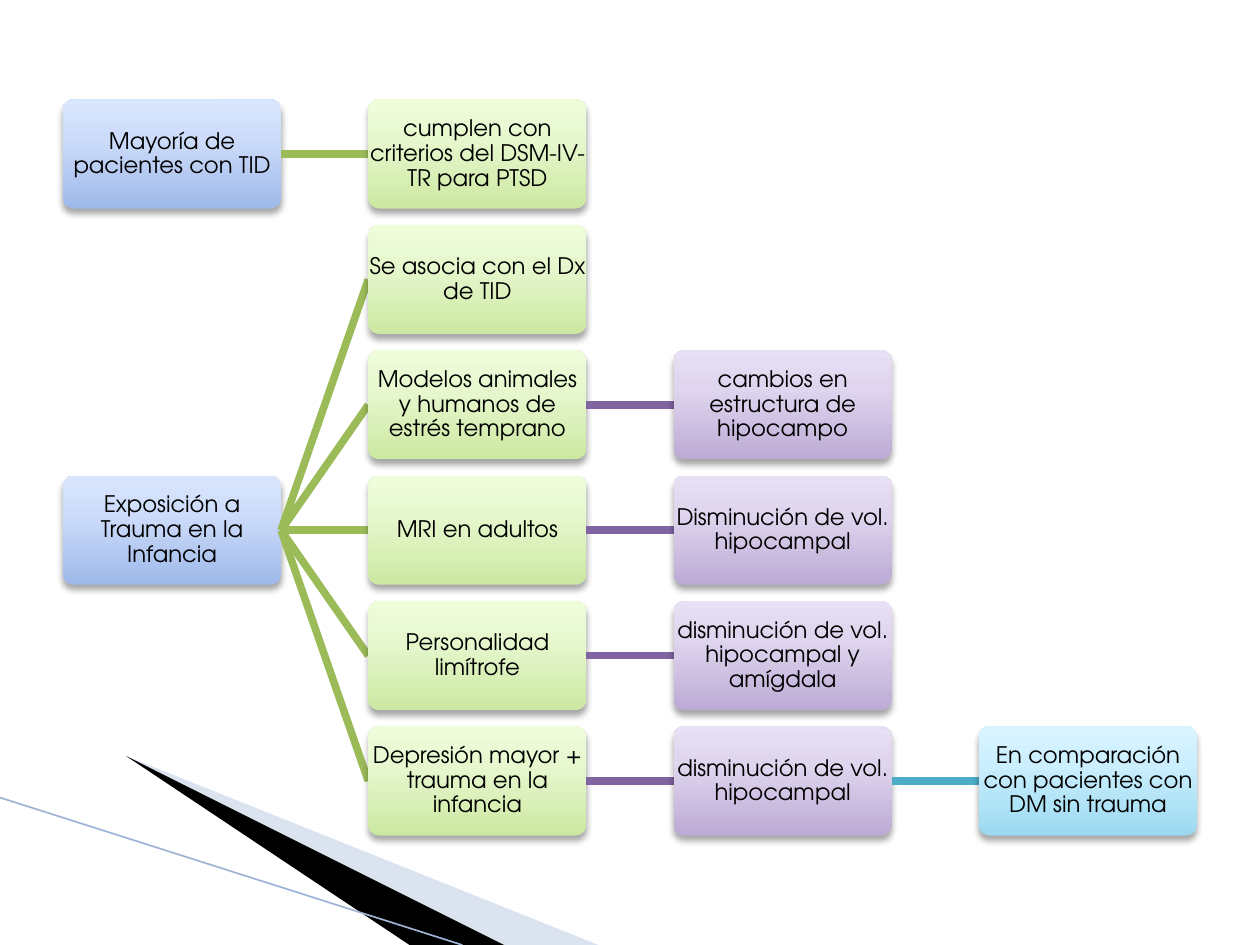
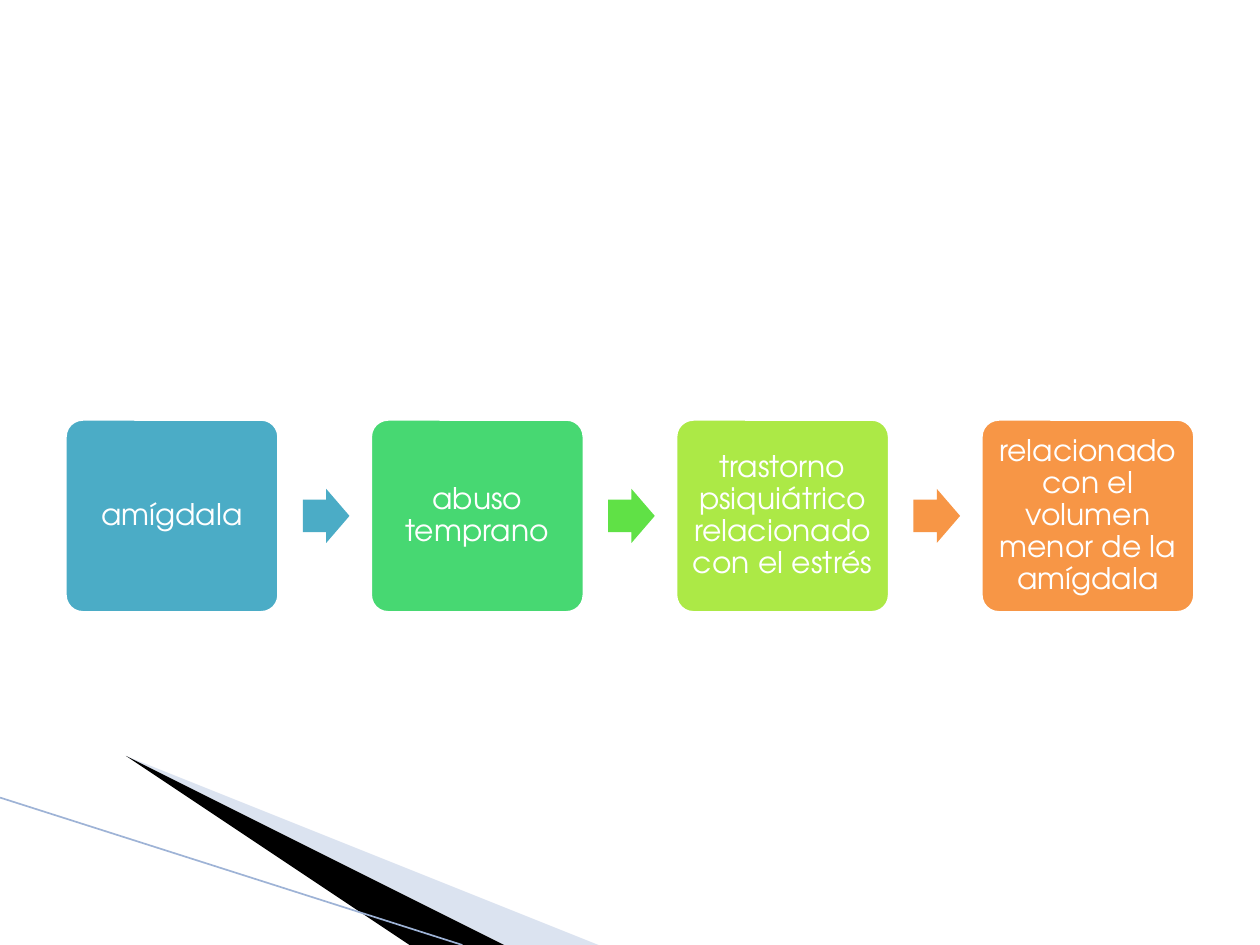
from copy import deepcopy
from lxml import etree
from pptx import Presentation, util as u
from pptx.dml.color import RGBColor
from pptx.enum import shapes, text
from pptx.oxml import ns

FONT = "TeX Gyre Adventor"
KIND = shapes.MSO_SHAPE
LEFT, TOP = 0.5, 0.79
WIDE = 9 / 5.2
HIGH = WIDE / 2
COL, ROW = WIDE * 1.4, HIGH * 1.15
STOPS = (0, 0.65, 1)
TONES = [
    ("9EB9EA", "CDDCFA", "D9E6FE"),
    ("CCE8A2", "E7F8CF", "EFFDDB"),
    ("BCABD5", "DFD5EE", "E8E0F4"),
    ("9BD9F1", "CBEFFE", "DAF4FF"),
]
LINKS = [None, "9BBB59", "8064A2", "4BACC6"]
NODES = [
    (0, 0, None, "Mayoría de pacientes con TID"),
    (1, 0, 0, "cumplen con criterios del DSM-IV-TR para PTSD"),
    (0, 3, None, "Exposición a Trauma en la Infancia"),
    (1, 1, 3, "Se asocia con el Dx de TID"),
    (1, 2, 3, "Modelos animales y humanos de estrés temprano"),
    (2, 2, 2, "cambios en estructura de hipocampo"),
    (1, 3, 3, "MRI en adultos"),
    (2, 3, 3, "Disminución de vol. hipocampal"),
    (1, 4, 3, "Personalidad limítrofe"),
    (2, 4, 4, "disminución de vol. hipocampal y amígdala"),
    (1, 5, 3, "Depresión mayor + trauma en la infancia"),
    (2, 5, 5, "disminución de vol. hipocampal"),
    (3, 5, 5, "En comparación con pacientes con DM sin trauma"),
]
STEPS = [
    ("amígdala", "4BACC6", "4BACC6"),
    ("abuso temprano", "47D872", "60E146"),
    ("trastorno psiquiátrico relacionado con el estrés", "ACE946", "F79646"),
    ("relacionado con el volumen menor de la amígdala", "F79646", None),
]


def rgb(code):
    return RGBColor.from_string(code)


def add(node, tag, **attrs):
    return etree.SubElement(node, ns.qn(tag), {k: str(v) for k, v in attrs.items()})


class Deck:
    def __init__(self):
        self.prs = Presentation()
        self.prs.slide_width, self.prs.slide_height = u.Inches(10), u.Inches(7.5)

    def page(self):
        self.slide = self.prs.slides.add_slide(self.prs.slide_layouts[6])
        self.wedge([(0.55, 6.5), (5.93, 7.5), (4.54, 7.5)], "A7B9DB", 40)
        self.wedge([(0.53, 6.49), (4.55, 7.5), (3.68, 7.5)], "000000")
        self.line((0, 6.33), (3.67, 7.5), "9EB3D6", 0.95)

    def wedge(self, spots, color, alpha=100):
        form = self.slide.shapes.build_freeform(*spots[0], scale=u.Inches(1))
        form.add_line_segments(spots[1:])
        item = form.convert_to_shape()
        self.paint(item, color)
        tint = item._element.spPr.find(".//" + ns.qn("a:srgbClr"))
        add(tint, "a:alpha", val=alpha * 1000)

    def line(self, start, end, color, width):
        ends = [u.Inches(n) for n in (*start, *end)]
        item = self.slide.shapes.add_connector(shapes.MSO_CONNECTOR.STRAIGHT, *ends)
        item.line.color.rgb = rgb(color)
        item.line.width = u.Pt(width)
        add(item._element.spPr, "a:effectLst")

    def paint(self, item, color, edge=None):
        item.shadow.inherit = False
        item.fill.solid()
        item.fill.fore_color.rgb = rgb(color)
        if edge:
            item.line.color.rgb = rgb(edge)
            item.line.width = u.Pt(4.33)
        else:
            item.line.fill.background()

    def shape(self, kind, area, color, edge=None):
        item = self.slide.shapes.add_shape(kind, *map(u.Inches, area))
        self.paint(item, color, edge)
        return item

    def card(self, area, color, edge=None):
        item = self.shape(KIND.ROUNDED_RECTANGLE, area, color, edge)
        item.adjustments[0] = 0.1
        return item

    def shade(self, item, tones):
        item.fill.gradient()
        item.fill.gradient_angle = 90
        stops = item._element.spPr.find(".//" + ns.qn("a:gsLst"))
        stops.insert(1, deepcopy(stops[0]))
        for stop, spot, tone in zip(item.fill.gradient_stops, STOPS, tones):
            stop.position = spot
            stop.color.rgb = rgb(tone)
        glow = item._element.spPr.find(ns.qn("a:effectLst"))
        cast = add(glow, "a:outerShdw", blurRad=u.Pt(4), dist=u.Pt(3),
                   dir=5400000, rotWithShape=0)
        add(add(cast, "a:srgbClr", val="000000"), "a:alpha", val=35000)

    def label(self, area, words, size, color, inset):
        frame = self.slide.shapes.add_textbox(*map(u.Inches, area)).text_frame
        frame.word_wrap = True
        frame.vertical_anchor = text.MSO_ANCHOR.MIDDLE
        frame.margin_left = frame.margin_right = u.Inches(inset)
        frame.margin_top = frame.margin_bottom = u.Inches(inset)
        para = frame.paragraphs[0]
        para.text = words
        para.alignment = text.PP_ALIGN.CENTER
        para.line_spacing = 0.9
        para.font.name, para.font.size = FONT, u.Pt(size)
        para.font.color.rgb = rgb(color)

    def node(self, col, row, base, words):
        x, y = LEFT + col * COL, TOP + row * ROW
        if base is not None:
            start = x - COL + WIDE, TOP + base * ROW + HIGH / 2
            self.line(start, (x, y + HIGH / 2), LINKS[col], 4.33)
        area = x, y, WIDE, HIGH
        self.shade(self.card(area, TONES[col][0]), TONES[col])
        self.label(area, words, 13, "000000", 0.01)

    def step(self, col, words, color, arrow):
        x, y, high = LEFT + col * COL, 3.31, 1.57
        area = x, y, WIDE, high
        self.card(area, color, "FFFFFF")
        self.label(area, words, 17, "FFFFFF", 0.07)
        if arrow:
            tall = 0.43
            spot = x + 1.1 * WIDE, y + (high - tall) / 2, 0.37, tall
            item = self.shape(KIND.RIGHT_ARROW, spot, arrow)
            item.adjustments[0], item.adjustments[1] = 0.6, 0.5


def main():
    deck = Deck()
    deck.page()
    for node in NODES:
        deck.node(*node)
    deck.page()
    for col, step in enumerate(STEPS):
        deck.step(col, *step)
    deck.prs.save("out.pptx")


if __name__ == "__main__":
    main()
